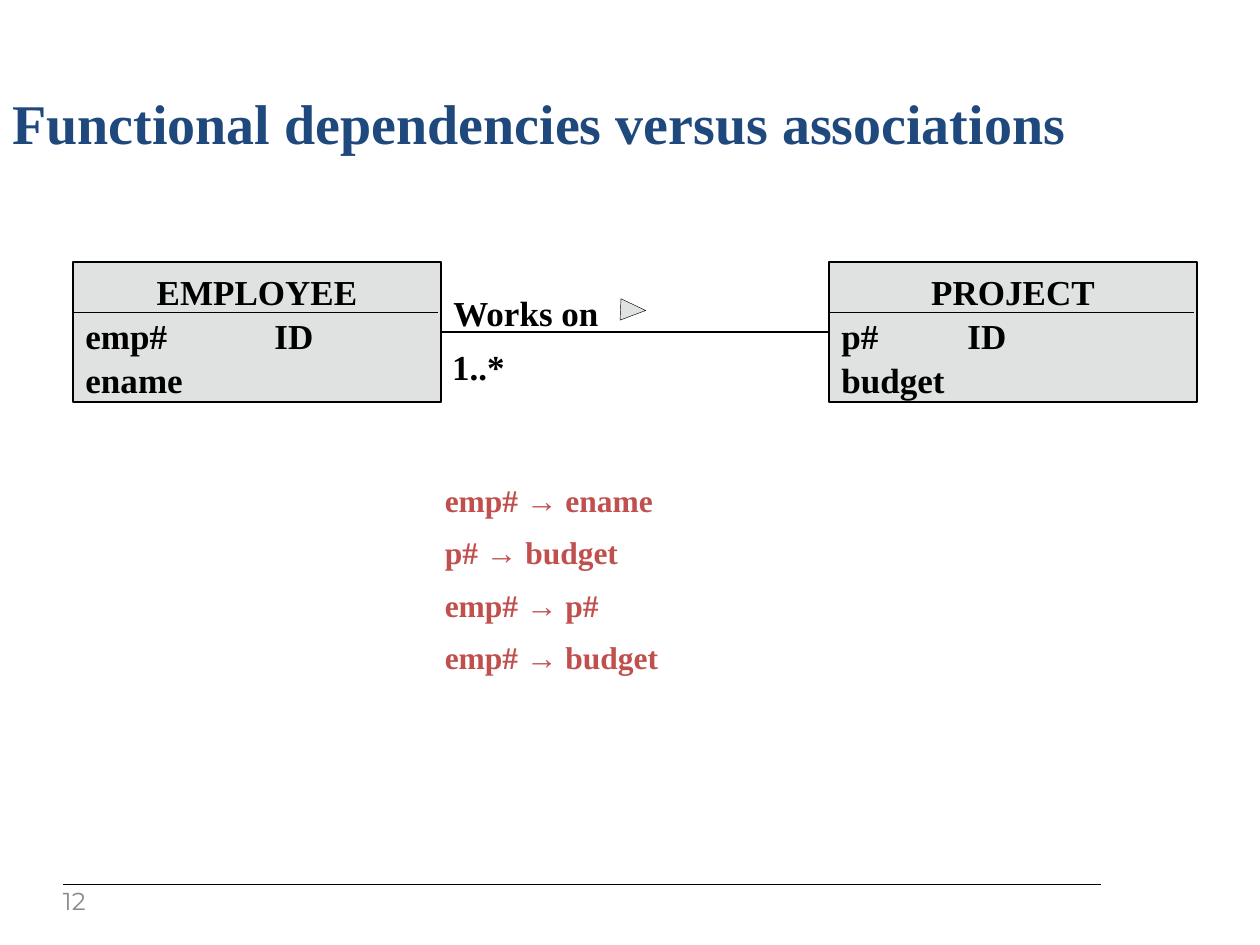
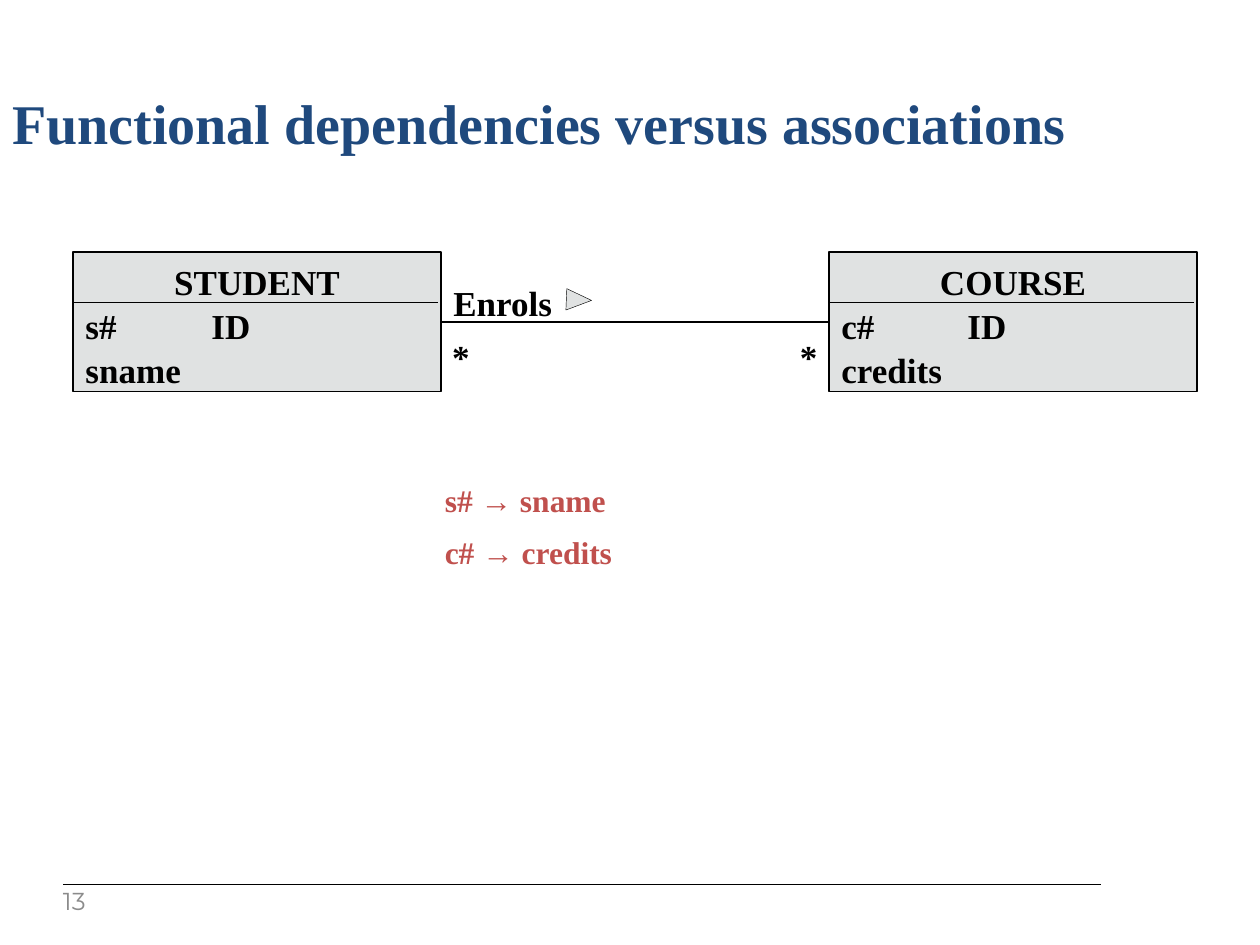
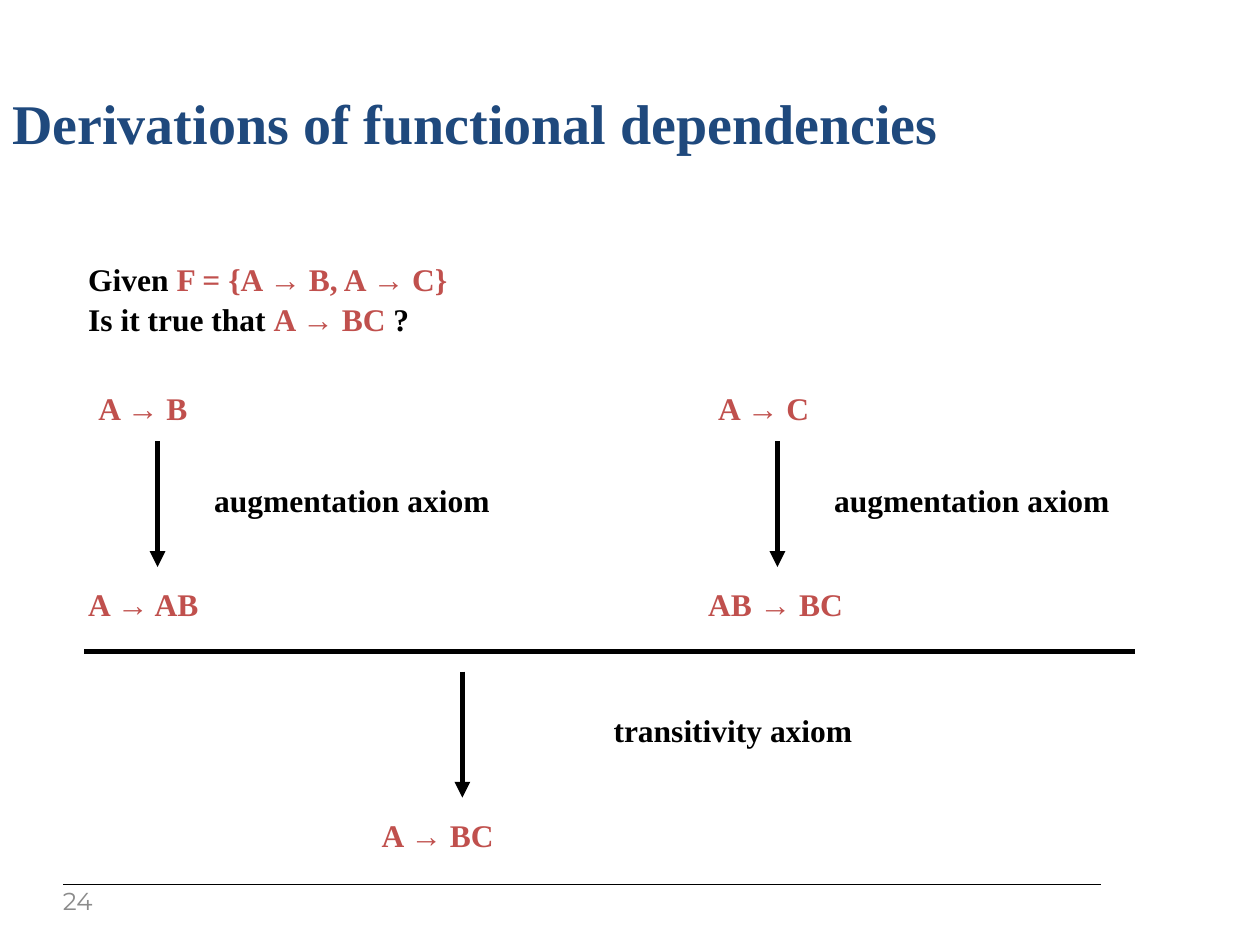
from dataclasses import dataclass

from lxml.etree import SubElement
from pptx import Presentation
from pptx.dml.color import RGBColor
from pptx.enum.shapes import MSO_CONNECTOR, MSO_SHAPE
from pptx.enum.text import MSO_ANCHOR as Anchor, PP_ALIGN as Align
from pptx.oxml.ns import qn
from pptx.util import Inches, Pt


@dataclass(frozen=True)
class Theme:
    font: str = "Times New Roman"
    number_font: str = "Montserrat"
    ink: RGBColor = RGBColor(0x00, 0x00, 0x00)
    title: RGBColor = RGBColor(0x1F, 0x49, 0x7D)
    accent: RGBColor = RGBColor(0xC0, 0x50, 0x4D)
    panel: RGBColor = RGBColor(0xE0, 0xE2, 0xE2)
    muted: RGBColor = RGBColor(0x8B, 0x8B, 0x8B)
    title_size: int = 32
    diagram_size: int = 20
    body_size: int = 18
    number_size: int = 14
    line_spacing: float = 1.05
    thin: float = 0.75
    thick: float = 3


class SlideBuilder:
    """Draws on the current slide in the style of the theme; lengths are in inches."""

    def __init__(self, deck, theme):
        self.deck = deck
        self.theme = theme
        self.slide = None

    def start(self, title, number):
        """Add a slide with its title, footer rule and page number."""
        theme = self.theme
        self.slide = self.deck.slides.add_slide(self.deck.slide_layouts[6])
        self.line(0.5, 7.02, 8.74, 7.02)
        heading = self.text(title, 0, 0.62, 10, 0.67, theme.title_size, theme.title)
        heading.text_frame.vertical_anchor = Anchor.MIDDLE
        footer = self.text(number, 0.5, 7.06, 0.4, 0.21, theme.number_size, theme.muted)
        frame = footer.text_frame
        frame.margin_left = frame.margin_top = 0
        frame.vertical_anchor = Anchor.MIDDLE
        font = frame.paragraphs[0].runs[0].font
        font.name, font.bold = theme.number_font, False

    def format(self, frame, size, color):
        for para in frame.paragraphs:
            para.line_spacing = self.theme.line_spacing
            for span in para.runs:
                font = span.font
                font.name, font.size, font.bold = self.theme.font, Pt(size), True
                font.color.rgb = color

    def text(self, content, left, top, width, height, size, color):
        box = self.slide.shapes.add_textbox(
            Inches(left), Inches(top), Inches(width), Inches(height))
        frame = box.text_frame
        frame.word_wrap = True
        frame.text = content
        self.format(frame, size, color)
        return box

    def statement(self, content, left, top, width, color=None):
        """Place a body line, in the accent colour unless another is given."""
        box = self.text(content, left, top, width, 0.4,
                        self.theme.body_size, color or self.theme.accent)
        box.text_frame.margin_left = box.text_frame.margin_right = Inches(0.2)
        return box

    def label(self, content, left, top, width):
        self.text(content, left, top, width, 0.43,
                  self.theme.diagram_size, self.theme.ink)

    def question(self, lines, left, top, width):
        """Place lines of (text, is_formula) spans, formulas in the accent colour."""
        box = self.statement("\n".join("" for _ in lines), left, top, width)
        for para, spans in zip(box.text_frame.paragraphs, lines):
            for content, _ in spans:
                para.add_run().text = content
        self.format(box.text_frame, self.theme.body_size, self.theme.ink)
        for para, spans in zip(box.text_frame.paragraphs, lines):
            for span, (_, is_formula) in zip(para.runs, spans):
                if is_formula:
                    span.font.color.rgb = self.theme.accent
        box.height = Inches(0.71)

    def line(self, x1, y1, x2, y2, weight=None, arrow=False):
        connector = self.slide.shapes.add_connector(
            MSO_CONNECTOR.STRAIGHT, Inches(x1), Inches(y1), Inches(x2), Inches(y2))
        connector.line.color.rgb = self.theme.ink
        connector.line.width = Pt(weight or self.theme.thin)
        if arrow:
            outline = connector.line._get_or_add_ln()
            SubElement(outline, qn("a:tailEnd"), type="triangle")
        SubElement(connector._element.spPr, qn("a:effectLst"))
        return connector

    def shape(self, kind, left, top, width, height, weight):
        shape = self.slide.shapes.add_shape(
            kind, Inches(left), Inches(top), Inches(width), Inches(height))
        shape.shadow.inherit = False
        shape.fill.solid()
        shape.fill.fore_color.rgb = self.theme.panel
        shape.line.color.rgb = self.theme.ink
        shape.line.width = Pt(weight)
        return shape

    def entity(self, name, key, attribute, left, top):
        """Draw a class box: name above the divider, attributes below."""
        box = self.shape(MSO_SHAPE.RECTANGLE, left, top, 2.92, 1.11, self.theme.thin)
        frame = box.text_frame
        frame.vertical_anchor = Anchor.TOP
        frame.text = f"{name}\n{key}\t\tID\n{attribute}"
        self.format(frame, self.theme.diagram_size, self.theme.ink)
        for para in frame.paragraphs:
            para.alignment = Align.LEFT
        frame.paragraphs[0].alignment = Align.CENTER
        self.line(left, top + 0.4, left + 2.9, top + 0.4)
        return box

    def association(self, source, target, name, top, marker_left, ends):
        """Join two entities; ends holds (multiplicity, left) pairs."""
        first = self.entity(*source, 0.58, top)
        second = self.entity(*target, 6.58, top)
        link = self.line(3.5, top + 0.58, 6.58, top + 0.58)
        link.begin_connect(first, 3)
        link.end_connect(second, 1)
        self.label(name, 3.5, top + 0.17, 1.5)
        marker = self.shape(MSO_SHAPE.ISOSCELES_TRIANGLE,
                            marker_left, top + 0.28, 0.17, 0.2, 0.25)
        marker.rotation = 92.4
        for multiplicity, left in ends:
            self.label(multiplicity, left, top + 0.6, 0.83)

    def dependencies(self, items):
        for row, item in enumerate(items):
            self.statement(item, 3.33, 3.75 + row * 1.25 / 3, 3.92)

    def derivation_step(self, x, y, axiom, axiom_gap, result, result_shift):
        """Draw an arrow down from (x, y), its axiom beside it and its result below."""
        self.line(x, y, x, y + 1, self.theme.thick, arrow=True)
        self.statement(axiom, x + axiom_gap, y + 0.25, 3.67, self.theme.ink)
        self.statement(result, x - result_shift, y + 1.08, 2.17)


def main():
    deck = Presentation()
    deck.slide_width, deck.slide_height = Inches(10), Inches(7.5)
    theme = Theme()
    page = SlideBuilder(deck, theme)
    versus = "Functional dependencies versus associations"

    page.start(versus, "12")
    page.association(("EMPLOYEE", "emp#", "ename"), ("PROJECT", "p#", "budget"),
                     "Works on", 2.08, 4.94, [("1..*", 3.49)])
    page.dependencies(["emp# → ename", "p# → budget", "emp# → p#", "emp# → budget"])

    page.start(versus, "13")
    page.association(("STUDENT", "s#", "sname"), ("COURSE", "c#", "credits"),
                     "Enrols", 2, 4.51, [("*", 3.49), ("*", 6.25)])
    page.dependencies(["s# → sname", "c# → credits"])

    page.start("Derivations of functional dependencies", "24")
    page.question([[("Given ", False), ("F = {A → B, A → C}", True)],
                   [("Is it true that ", False), ("A → BC", True), (" ?", False)]],
                  0.5, 2, 9.67)
    for x, premise, result in ((1.25, "A → B", "A → AB"), (6.17, "A → C", "AB → BC")):
        page.statement(premise, x - 0.67, 3.02, 1.75)
        page.derivation_step(x, 3.5, "augmentation axiom", 0.25, result, 0.75)
    page.line(0.67, 5.17, 9.01, 5.17, theme.thick)
    page.derivation_step(3.67, 5.33, "transitivity axiom", 1, "A → BC", 0.84)

    deck.save("out.pptx")


if __name__ == "__main__":
    main()
